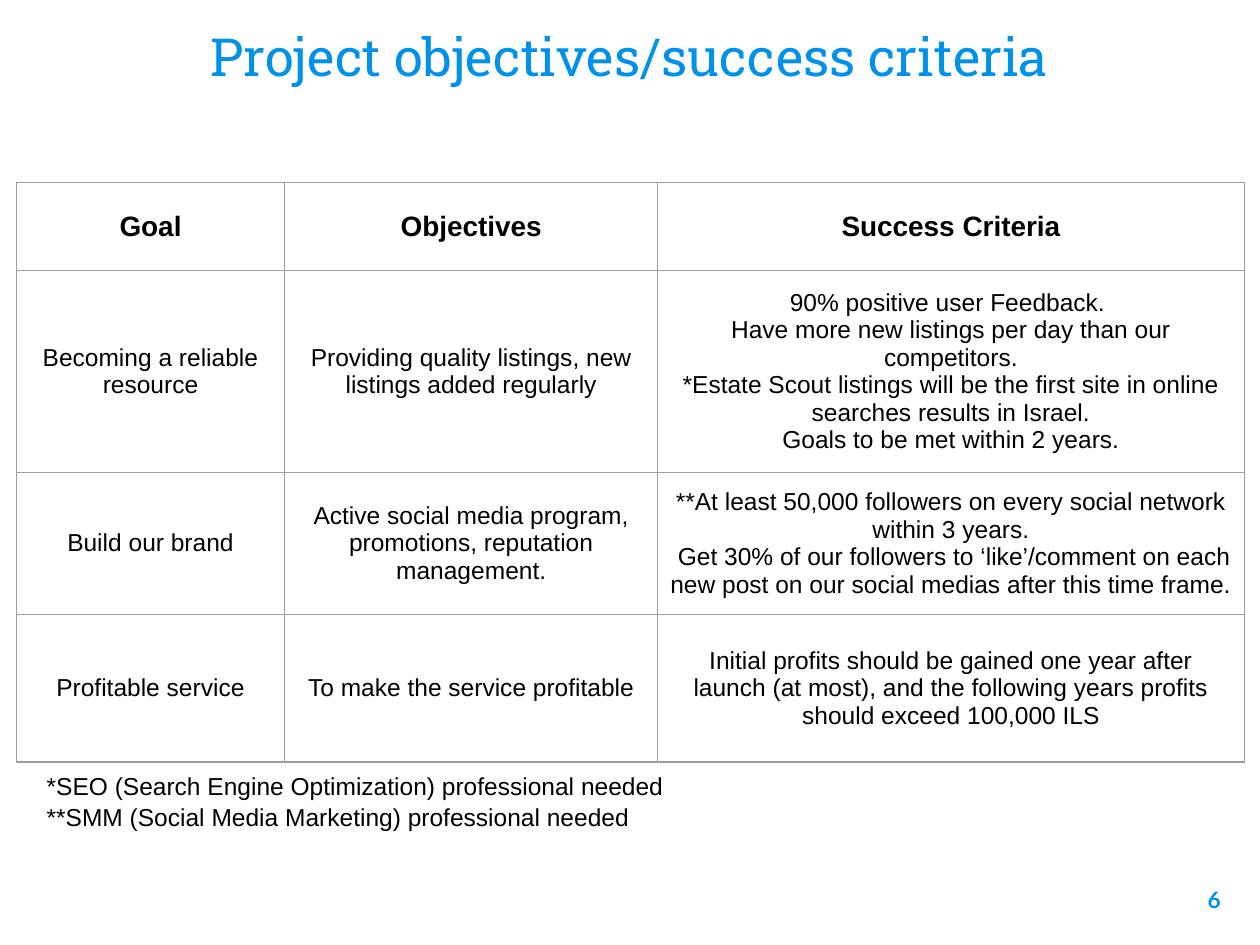
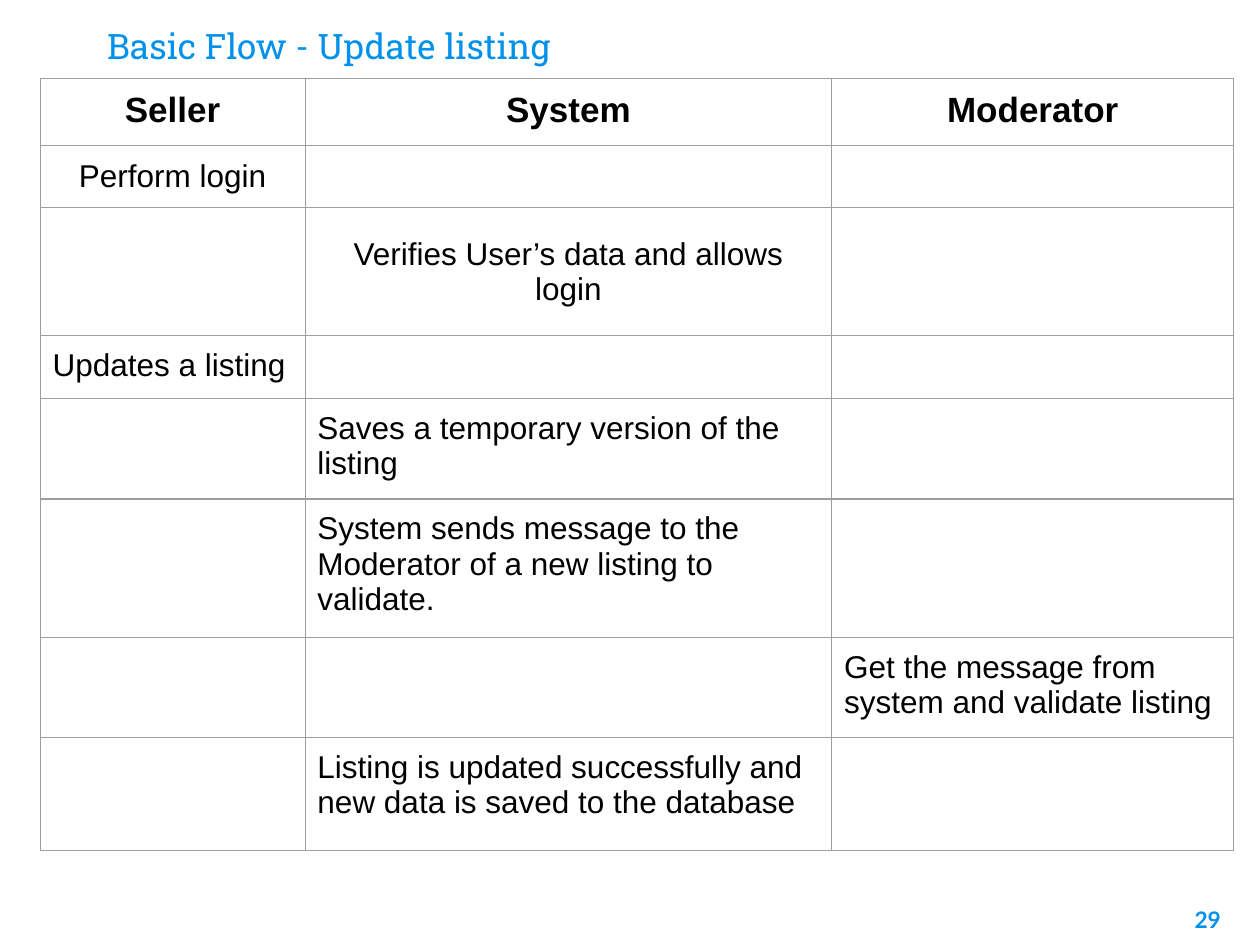
from dataclasses import dataclass

import lxml.etree
import pptx
import pptx.dml.color
import pptx.enum.text
import pptx.oxml.ns
import pptx.slide
import pptx.table
import pptx.text.text
import pptx.util

Cm = pptx.util.Cm
Pt = pptx.util.Pt
RGBColor = pptx.dml.color.RGBColor
Align = pptx.enum.text.PP_ALIGN
Anchor = pptx.enum.text.MSO_ANCHOR

# Shared look
BLUE = RGBColor(0x00, 0x91, 0xEA)
BLACK = RGBColor(0x00, 0x00, 0x00)
GRAY = RGBColor(0x9E, 0x9E, 0x9E)
WHITE = RGBColor(0xFF, 0xFF, 0xFF)
INSET = Cm(0.25)
RULE = Pt(0.75)


@dataclass(frozen=True)
class Style:
    font: str
    size: float
    color: RGBColor = BLACK
    bold: bool = False
    align: Align = Align.LEFT
    anchor: Anchor = Anchor.TOP
    space: float = 1.0


@dataclass(frozen=True)
class Box:
    left: float
    top: float
    width: float
    height: float


@dataclass(frozen=True)
class Row:
    height: float
    cells: tuple[str, ...]  # a line break starts a new paragraph
    style: Style


@dataclass(frozen=True)
class Grid:
    left: float
    top: float
    widths: tuple[float, ...]
    rows: tuple[Row, ...]


def write(frame: pptx.text.text.TextFrame, text: str, style: Style) -> None:
    """Fill a frame with one run per paragraph."""
    for index, line in enumerate(text.split("\n")):
        para = frame.paragraphs[0] if index == 0 else frame.add_paragraph()
        para.alignment = style.align
        para.line_spacing = style.space
        run = para.add_run()
        run.text = line
        run.font.name = style.font
        run.font.size = Pt(style.size)
        run.font.bold = style.bold
        run.font.color.rgb = style.color


def add_text(slide: pptx.slide.Slide, box: Box, text: str, style: Style) -> None:
    shape = slide.shapes.add_textbox(
        Cm(box.left), Cm(box.top), Cm(box.width), Cm(box.height))
    frame = shape.text_frame
    frame.word_wrap = True
    frame.vertical_anchor = style.anchor
    frame.margin_left = frame.margin_right = INSET
    frame.margin_top = frame.margin_bottom = INSET
    write(frame, text, style)


def add_rules(cell: pptx.table._Cell) -> None:
    """Draw a thin gray line on all four sides of a cell."""
    qn = pptx.oxml.ns.qn
    props = cell._tc.get_or_add_tcPr()
    for side in ("a:lnL", "a:lnR", "a:lnT", "a:lnB"):
        line = lxml.etree.SubElement(props, qn(side), w=str(int(RULE)))
        fill = lxml.etree.SubElement(line, qn("a:solidFill"))
        lxml.etree.SubElement(fill, qn("a:srgbClr"), val=str(GRAY))


def add_grid(slide: pptx.slide.Slide, grid: Grid) -> None:
    table = slide.shapes.add_table(
        len(grid.rows), len(grid.widths), Cm(grid.left), Cm(grid.top),
        Cm(sum(grid.widths)), Cm(sum(row.height for row in grid.rows))).table
    table.first_row = table.horz_banding = False
    for column, width in zip(table.columns, grid.widths):
        column.width = Cm(width)
    for r, row in enumerate(grid.rows):
        table.rows[r].height = Cm(row.height)
        for c, text in enumerate(row.cells):
            cell = table.cell(r, c)
            add_rules(cell)
            cell.fill.background()
            cell.margin_left = cell.margin_right = INSET
            cell.margin_top = cell.margin_bottom = INSET
            cell.vertical_anchor = row.style.anchor
            if text:
                write(cell.text_frame, text, row.style)


def add_page(deck: pptx.presentation.Presentation, number: str, top: float) -> pptx.slide.Slide:
    """Add a blank white slide with its page number."""
    slide = deck.slides.add_slide(deck.slide_layouts[6])
    slide.background.fill.solid()
    slide.background.fill.fore_color.rgb = WHITE
    style = Style("Lato", 13, BLUE, bold=True, align=Align.RIGHT)
    add_text(slide, Box(23.34, top, 1.52, 1.04), number, style)
    return slide


def add_title(slide: pptx.slide.Slide, box: Box, text: str, size: float, align: Align) -> None:
    add_text(slide, box, text, Style("Roboto Slab", size, BLUE, align=align, anchor=Anchor.BOTTOM))


# Table text styles
GOAL_HEAD = Style("Arial", 16, bold=True, align=Align.CENTER, anchor=Anchor.MIDDLE)
GOAL_BODY = Style("Arial", 14, align=Align.CENTER, anchor=Anchor.MIDDLE)
FLOW_HEAD = Style("Arial", 20, bold=True, align=Align.CENTER)
FLOW_MID = Style("Arial", 18, align=Align.CENTER, anchor=Anchor.MIDDLE)
FLOW_LEFT = Style("Arial", 18)

GOALS = Grid(0.33, 3.68, (5.41, 7.52, 11.82), (
    Row(1.78, ("Goal", "Objectives", "Success Criteria"), GOAL_HEAD),
    Row(3.83, (
        "Becoming a reliable resource",
        "Providing quality listings, new listings added regularly",
        "90% positive user Feedback. \n"
        "Have more new listings per day than our competitors.\n"
        "*Estate Scout listings will be the first site in online searches results in Israel.\n"
        "Goals to be met within 2 years."), GOAL_BODY),
    Row(2.74, (
        "Build our brand",
        "Active social media program, promotions, reputation management.",
        "**At least 50,000 followers on every social network within 3 years.\n"
        " Get 30% of our followers to ‘like’/comment on each new post "
        "on our social medias after this time frame."), GOAL_BODY),
    Row(2.97, (
        "Profitable service",
        "To make the service profitable",
        "Initial profits should be gained one year after launch (at most), "
        "and the following years profits should exceed 100,000 ILS"), GOAL_BODY),
))

FLOW = Grid(0.81, 1.58, (5.34, 10.62, 8.1), (
    Row(1.31, ("Seller", "System", "Moderator"), FLOW_HEAD),
    Row(1.23, ("Perform login", "", ""), FLOW_MID),
    Row(2.58, ("", "Verifies User’s data and allows login", ""), FLOW_MID),
    Row(1.21, ("Updates a listing", "", ""), FLOW_LEFT),
    Row(2.0, ("", "Saves a temporary version of the listing", ""), FLOW_LEFT),
    Row(2.64, ("", "System sends message to the Moderator of a new listing to validate.", ""),
        FLOW_LEFT),
    Row(1.94, ("", "", "Get the message from system and validate listing"), FLOW_LEFT),
    Row(2.28, ("", "Listing is updated successfully and new data is saved to the database", ""),
        FLOW_LEFT),
))


def main() -> None:
    deck = pptx.Presentation()
    deck.slide_width, deck.slide_height = Cm(25.4), Cm(19.05)

    # Goals slide
    slide = add_page(deck, "6", 17.6)
    add_title(slide, Box(2.18, 0.3, 21.03, 1.7),
              "Project objectives/success criteria", 30, Align.CENTER)
    add_grid(slide, GOALS)
    add_text(slide, Box(0.69, 15.24, 22.3, 2.0),
             "*SEO (Search Engine Optimization) professional needed\n"
             "**SMM (Social Media Marketing) professional needed",
             Style("Arial", 14, space=1.08))

    # Flow slide
    slide = add_page(deck, "29", 18.01)
    add_title(slide, Box(1.91, 0.15, 21.03, 1.45),
              "Basic Flow - Update listing", 20, Align.LEFT)
    add_grid(slide, FLOW)

    deck.save("out.pptx")


if __name__ == "__main__":
    main()
